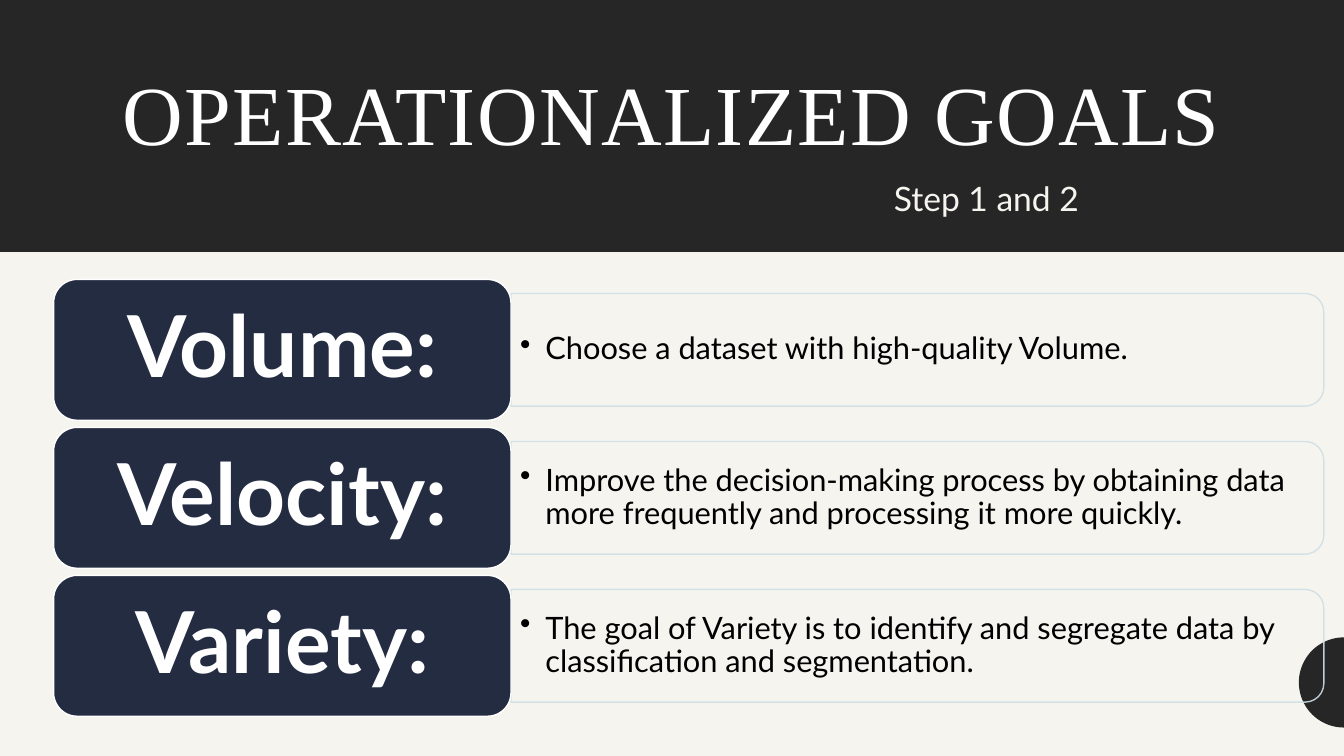
import math
from dataclasses import dataclass

from lxml import etree
from pptx import Presentation
from pptx.dml.color import RGBColor
from pptx.enum.shapes import MSO_SHAPE
from pptx.enum.text import MSO_ANCHOR, PP_ALIGN
from pptx.oxml.ns import qn
from pptx.util import Pt

RECTANGLE = MSO_SHAPE.RECTANGLE
ROUNDED = MSO_SHAPE.ROUNDED_RECTANGLE
ROUNDED_TOP = MSO_SHAPE.ROUND_2_SAME_RECTANGLE
LEFT, CENTER = PP_ALIGN.LEFT, PP_ALIGN.CENTER
TOP, MIDDLE = MSO_ANCHOR.TOP, MSO_ANCHOR.MIDDLE


@dataclass(frozen=True)
class Theme:
    paper: str = "F6F4EF"
    dark: str = "262626"
    navy: str = "232C41"
    white: str = "FFFFFF"
    black: str = "000000"
    outline: str = "CFDFE6"
    title_font: str = "Times New Roman"
    body_font: str = "Lato"
    title_size: float = 60
    subtitle_size: float = 24
    goal_size: float = 61
    detail_size: float = 22


@dataclass(frozen=True)
class Box:
    left: float
    top: float
    width: float
    height: float

    def lengths(self) -> tuple:
        return Pt(self.left), Pt(self.top), Pt(self.width), Pt(self.height)


@dataclass(frozen=True)
class Goal:
    name: str
    detail: str


THEME = Theme()
SLIDE_WIDTH, SLIDE_HEIGHT = 960, 540
CARD = Box(38.3, 199.6, 326.7, 100.6)
PANEL_WIDTH, PANEL_HEIGHT = 580.6, 80.5
DETAIL_WIDTH, DETAIL_HEIGHT = 576.7, 72.6
ROW_PITCH = 105.7
GOALS = [
    Goal("Volume:", "Choose a dataset with high-quality Volume."),
    Goal("Velocity:", "Improve the decision-making process by obtaining data "
                      "more frequently and processing it more quickly."),
    Goal("Variety:", "The goal of Variety is to identify and segregate data by "
                     "classification and segmentation."),
]


def add_block(slide, kind, box: Box, fill: str = "", line: str = ""):
    """Add a preset shape with an optional fill and outline."""
    shape = slide.shapes.add_shape(kind, *box.lengths())
    shape.shadow.inherit = False
    if fill:
        shape.fill.solid()
        shape.fill.fore_color.rgb = RGBColor.from_string(fill)
    else:
        shape.fill.background()
    if line:
        shape.line.color.rgb = RGBColor.from_string(line)
        shape.line.width = Pt(1)
    else:
        shape.line.fill.background()
    return shape


def write_text(shape, text: str, *, size: float, color: str,
               font: str = THEME.body_font, bold: bool = False,
               align=LEFT, anchor=MIDDLE, line_spacing: float = 0.9,
               margins: tuple = (7.2, 3.6), tracking: float = 0,
               bullet_indent: float = 0) -> None:
    """Write one formatted paragraph into a shape."""
    frame = shape.text_frame
    frame.word_wrap = True
    frame.vertical_anchor = anchor
    frame.margin_left = frame.margin_right = Pt(margins[0])
    frame.margin_top = frame.margin_bottom = Pt(margins[1])
    paragraph = frame.paragraphs[0]
    paragraph.alignment = align
    paragraph.line_spacing = line_spacing
    run = paragraph.add_run()
    run.text = text
    run.font.name = font
    run.font.size = Pt(size)
    run.font.bold = bold
    run.font.color.rgb = RGBColor.from_string(color)
    if tracking:
        run.font._element.set("spc", str(round(tracking * 100)))
    if bullet_indent:
        properties = paragraph._p.get_or_add_pPr()
        properties.set("marL", str(Pt(bullet_indent)))
        properties.set("indent", str(-Pt(bullet_indent)))
        etree.SubElement(properties, qn("a:buChar")).set("char", "•")


def add_text(slide, box: Box, text: str, **text_format) -> None:
    write_text(slide.shapes.add_textbox(*box.lengths()), text, **text_format)


def add_half_disc(slide, center_y: float, radius: float, steps: int = 48) -> None:
    """Add a half disc against the right edge of the slide."""
    angles = [math.pi * (0.5 + step / steps) for step in range(steps + 1)]
    points = [(Pt(SLIDE_WIDTH + radius * math.cos(angle)),
               Pt(center_y + radius * math.sin(angle))) for angle in angles]
    builder = slide.shapes.build_freeform(*points[0])
    builder.add_line_segments(points[1:], close=True)
    disc = builder.convert_to_shape()
    disc.shadow.inherit = False
    disc.fill.solid()
    disc.fill.fore_color.rgb = RGBColor.from_string(THEME.dark)
    disc.line.fill.background()


def add_goal(slide, goal: Goal, top: float) -> None:
    """Add one row: outlined panel, detail text and name card."""
    card_right = CARD.left + CARD.width
    middle = top + CARD.height / 2

    # Panel, turned so that its rounded corners face right
    panel = add_block(slide, ROUNDED_TOP, Box(
        card_right + (PANEL_WIDTH - PANEL_HEIGHT) / 2, middle - PANEL_WIDTH / 2,
        PANEL_HEIGHT, PANEL_WIDTH), line=THEME.outline)
    panel.rotation = 90
    for color in panel.line._ln.iter(qn("a:srgbClr")):
        etree.SubElement(color, qn("a:alpha")).set("val", "90000")

    add_text(slide, Box(card_right, middle - DETAIL_HEIGHT / 2,
                        DETAIL_WIDTH, DETAIL_HEIGHT), goal.detail,
             size=THEME.detail_size, color=THEME.black,
             margins=(6.6, 3.3), bullet_indent=18)

    card = add_block(slide, ROUNDED, Box(CARD.left, top, CARD.width, CARD.height),
                     fill=THEME.navy, line=THEME.white)
    write_text(card, goal.name, size=THEME.goal_size, color=THEME.white,
               bold=True, align=CENTER, margins=(18, 9.2))


def main() -> None:
    presentation = Presentation()
    presentation.slide_width = Pt(SLIDE_WIDTH)
    presentation.slide_height = Pt(SLIDE_HEIGHT)
    slide = presentation.slides.add_slide(presentation.slide_layouts[6])
    slide.background.fill.solid()
    slide.background.fill.fore_color.rgb = RGBColor.from_string(THEME.paper)

    # Header band with title and subtitle
    add_block(slide, RECTANGLE, Box(0, 0, SLIDE_WIDTH, 180), fill=THEME.dark)
    add_text(slide, Box(60, 9.4, 840, 150.5), "OPERATIONALIZED GOALS",
             size=THEME.title_size, color=THEME.white, font=THEME.title_font,
             align=CENTER, tracking=1)
    add_half_disc(slide, center_y=487.5, radius=32.2)
    add_text(slide, Box(631.4, 123.8, 221, 36), "Step 1 and 2",
             size=THEME.subtitle_size, color=THEME.paper, anchor=TOP,
             line_spacing=1.0)

    # Goal rows
    for index, goal in enumerate(GOALS):
        add_goal(slide, goal, CARD.top + index * ROW_PITCH)

    presentation.save("out.pptx")


if __name__ == "__main__":
    main()
